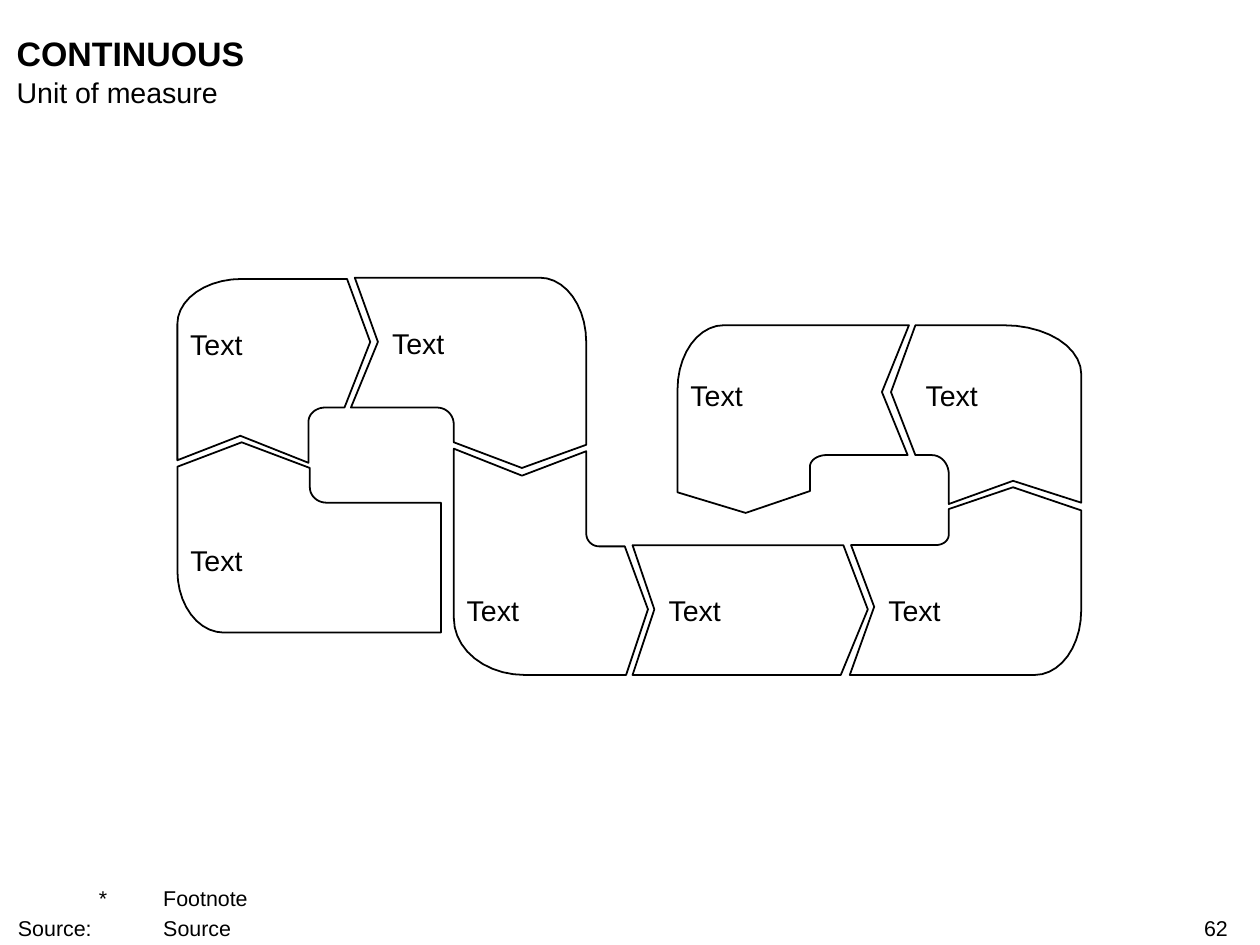
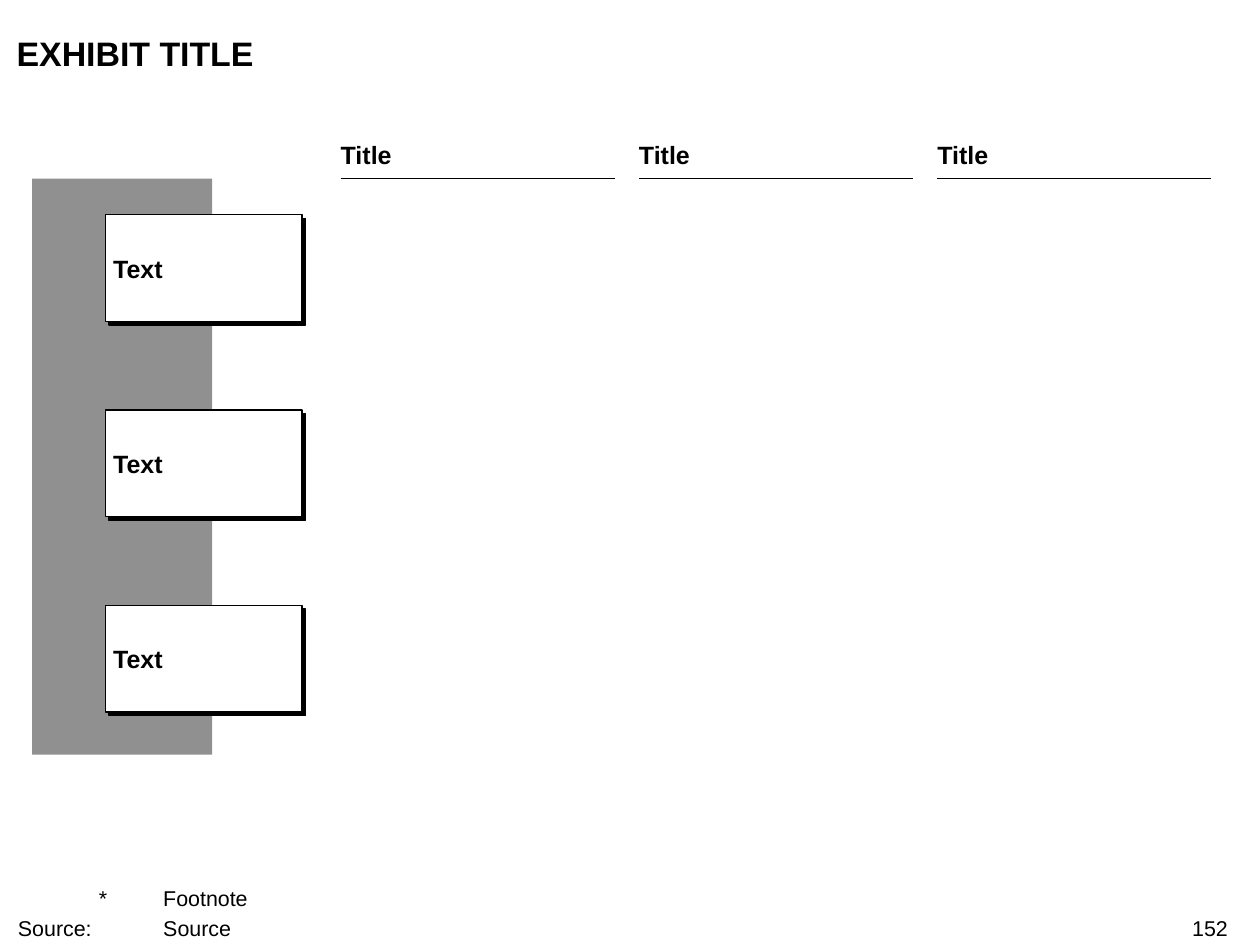
from dataclasses import dataclass
from itertools import chain
from math import cos, pi, sin
from typing import NamedTuple

from lxml.etree import SubElement
from pptx import Presentation
from pptx.dml.color import RGBColor
from pptx.enum.shapes import MSO_CONNECTOR as Connector, MSO_SHAPE as Preset
from pptx.enum.text import MSO_ANCHOR as Anchor, MSO_AUTO_SIZE as AutoSize, PP_ALIGN as Align
from pptx.oxml.ns import qn
from pptx.util import Emu, Inches, Pt

COLUMNS, ROWS = 98, 73.5
CELL = Inches(0.1)
BLACK, WHITE, GREY = "000000", "FFFFFF", "909090"
ARC_STEPS = 10


class Corner(NamedTuple):
    column: float
    row: float
    enter: float = 0
    leave: float = 0


class Area(NamedTuple):
    left: float
    top: float
    width: float
    height: float


class TextStyle(NamedTuple):
    size: float
    bold: bool = False
    align: Align = Align.LEFT
    anchor: Anchor = Anchor.TOP


@dataclass(frozen=True)
class Piece:
    label: Area
    outline: tuple[Corner, ...]


TITLE = TextStyle(19, bold=True)
SUBTITLE = TextStyle(16)
LABEL = TextStyle(16, anchor=Anchor.MIDDLE)
HEADING = TextStyle(14, bold=True, anchor=Anchor.BOTTOM)
CARD = TextStyle(14, bold=True, anchor=Anchor.MIDDLE)
NOTE = TextStyle(12, anchor=Anchor.BOTTOM)
NUMBER = TextStyle(12, align=Align.RIGHT)

NOTE_LINES = ("\t*\tFootnote", "Source:\t\tSource")
NOTE_TABS = ((5.8, "r"), (16, "l"))
NOTE_INDENT = 6.3


def outline(*corners: tuple) -> tuple[Corner, ...]:
    return tuple(Corner(*corner) for corner in corners)


PIECES = (
    Piece(Area(52, 46.1, 12.8, 2.7), outline(
        (67.5, 47.4), (65.6, 42.4), (49.2, 42.4), (50.9, 47.4), (49.2, 52.5), (65.4, 52.5))),
    Piece(Area(36.3, 46.1, 12.8, 2.7), outline(
        (45.6, 35.1), (40.6, 37), (35.3, 34.9), (35.3, 52.5, 4.4, 5.5),
        (48.7, 52.5), (50.4, 47.4), (48.6, 42.5), (45.6, 42.5, 1, 1))),
    Piece(Area(69.1, 46.1, 12.8, 2.7), outline(
        (66.2, 42.4), (68, 47.2), (66.1, 52.5), (84.1, 52.5, 3.6, 5),
        (84.1, 39.7), (78.8, 37.9), (73.8, 39.6), (73.8, 42.4, 0.8, 1))),
    Piece(Area(53.7, 29.4, 12.8, 2.7), outline(
        (70.6, 35.4), (68.6, 30.5), (70.7, 25.3), (52.7, 25.3, 3.6, 5),
        (52.7, 38.3), (58, 39.9), (63, 38.2), (63, 35.4, 0.9, 1.3))),
    Piece(Area(72, 29.4, 10.6, 2.7), outline(
        (73.8, 39.2), (78.8, 37.4), (84.1, 39.1), (84.1, 25.3, 3.8, 6),
        (71.2, 25.3), (69.3, 30.5), (71.2, 35.4), (73.8, 35.4, 1.3, 1.5))),
    Piece(Area(30.5, 25.3, 12.7, 2.7), outline(
        (27.3, 31.7), (35.3, 31.7, 1.3, 1.3), (35.3, 34.4), (40.6, 36.4),
        (45.6, 34.6), (45.6, 21.6, 5, 3.6), (27.6, 21.6), (29.4, 26.6))),
    Piece(Area(14.8, 42.2, 15.8, 2.7), outline(
        (34.3, 39.1), (24.1, 39.1, 1.3, 1.2), (24.1, 36.4), (18.8, 34.4),
        (13.8, 36.3), (13.8, 49.2, 4.8, 3.6), (34.3, 49.2))),
    Piece(Area(14.8, 25.4, 10, 2.7), outline(
        (24, 36), (24, 31.7, 1.1, 1.3), (26.8, 31.7), (28.8, 26.6),
        (27, 21.7), (13.8, 21.7, 5, 3.5), (13.8, 35.8), (18.7, 33.9))),
)


def grid(cells: float) -> Emu:
    return Emu(round(cells * CELL))


def colour(code: str) -> RGBColor:
    return RGBColor.from_string(code)


def apply(target, values: dict) -> None:
    for name, value in values.items():
        setattr(target, name, value)


def paint(shape, fill: str, line_width: float = 0) -> None:
    shape.shadow.inherit = False
    shape.fill.solid()
    shape.fill.fore_color.rgb = colour(fill)
    if line_width:
        shape.line.color.rgb = colour(BLACK)
        shape.line.width = Pt(line_width)
    else:
        shape.line.fill.background()


def write(shape, lines: tuple[str, ...], style: TextStyle, inset: float = 0) -> list:
    frame = shape.text_frame
    apply(frame, {
        "word_wrap": True, "vertical_anchor": style.anchor,
        "margin_left": grid(inset), "margin_right": grid(inset),
        "margin_top": 0, "margin_bottom": 0,
    })
    paras = [frame.paragraphs[0], *(frame.add_paragraph() for _ in lines[1:])]
    for para, line in zip(paras, lines):
        para.alignment = style.align
        span = para.add_run()
        span.text = line
        apply(span.font, {"name": "Arial", "size": Pt(style.size), "bold": style.bold})
        span.font.color.rgb = colour(BLACK)
    return paras


def add_text(page, area: Area, style: TextStyle, *lines: str) -> list:
    box = page.shapes.add_textbox(*map(grid, area))
    box.text_frame.auto_size = AutoSize.SHAPE_TO_FIT_TEXT
    return write(box, lines, style)


def add_box(page, area: Area, fill: str, line_width: float = 0):
    box = page.shapes.add_shape(Preset.RECTANGLE, *map(grid, area))
    paint(box, fill, line_width)
    return box


def add_card(page, area: Area, text: str) -> None:
    card = add_box(page, area, WHITE, 0.75)
    effects = card._element.spPr.find(qn("a:effectLst"))
    shadow = SubElement(effects, qn("a:outerShdw"), blurRad="0", dist=str(Pt(2.8)),
                        dir=str(45 * 60000), algn="ctr", rotWithShape="0")
    SubElement(shadow, qn("a:srgbClr"), val=BLACK)
    write(card, (text,), CARD, inset=0.6)


def add_rule(page, left: float, row: float, width: float) -> None:
    rule = page.shapes.add_connector(
        Connector.STRAIGHT, *map(grid, (left, row, left + width, row)))
    rule.line.color.rgb = colour(BLACK)
    rule.line.width = Pt(0.75)
    SubElement(rule._element.spPr, qn("a:effectLst"))


def toward(start: Corner, end: Corner, distance: float) -> complex:
    origin = complex(start.column, start.row)
    step = complex(end.column, end.row) - origin
    return origin + step / abs(step) * distance


def bend(before: Corner, corner: Corner, after: Corner) -> list[complex]:
    point = complex(corner.column, corner.row)
    if not corner.enter:
        return [point]
    first = toward(corner, before, corner.enter)
    last = toward(corner, after, corner.leave)
    centre = first + last - point
    angles = (pi / 2 * step / ARC_STEPS for step in range(ARC_STEPS + 1))
    return [centre + (first - centre) * cos(angle) + (last - centre) * sin(angle)
            for angle in angles]


def add_piece(page, piece: Piece) -> None:
    corners = piece.outline
    neighbours = zip(corners[-1:] + corners[:-1], corners, corners[1:] + corners[:1])
    points = [(grid(point.real), grid(point.imag))
              for point in chain.from_iterable(bend(*trio) for trio in neighbours)]
    builder = page.shapes.build_freeform(*points[0], scale=1.0)
    builder.add_line_segments(points[1:], close=True)
    paint(builder.convert_to_shape(), WHITE, 1)


def add_notes_line(page) -> None:
    paras = add_text(page, Area(1.4, 68.8, 89.3, 4.4), NOTE, *NOTE_LINES)
    for para in paras:
        settings = para._p.get_or_add_pPr()
        settings.set("marL", str(grid(NOTE_INDENT)))
        settings.set("indent", str(-grid(NOTE_INDENT)))
        tabs = SubElement(settings, qn("a:tabLst"))
        for position, align in NOTE_TABS:
            SubElement(tabs, qn("a:tab"), pos=str(grid(position)), algn=align)
    paras[1].space_before = Pt(2.8)


def add_page(deck, title: str, number: int):
    page = deck.slides.add_slide(deck.slide_layouts[6])
    add_text(page, Area(75.1, 71.2, 20.4, 2), NUMBER, str(number))
    add_text(page, Area(1.3, 2.5, 94.3, 3.2), TITLE, title)
    add_notes_line(page)
    return page


def build_continuous(deck) -> None:
    page = add_page(deck, "CONTINUOUS", 62)
    add_text(page, Area(1.3, 5.8, 94.3, 2.7), SUBTITLE, "Unit of measure")
    for piece in PIECES:
        add_piece(page, piece)
    for piece in PIECES:
        add_text(page, piece.label, LABEL, "Text")


def build_exhibit(deck) -> None:
    page = add_page(deck, "EXHIBIT TITLE", 152)
    top, width = 13.9, 21.3
    add_box(page, Area(2.5, top, 14, 44.8), GREY)
    for index in range(3):
        add_card(page, Area(8.2, 16.7 + 15.2 * index, 15.3, 8.3), "Text")
        left = 26.5 + 23.2 * index
        add_rule(page, left, top, width)
        add_text(page, Area(left, 10.9, width, 2.3), HEADING, "Title")


def main() -> None:
    deck = Presentation()
    apply(deck, {"slide_width": grid(COLUMNS), "slide_height": grid(ROWS)})
    build_continuous(deck)
    build_exhibit(deck)
    deck.save("out.pptx")


if __name__ == "__main__":
    main()
